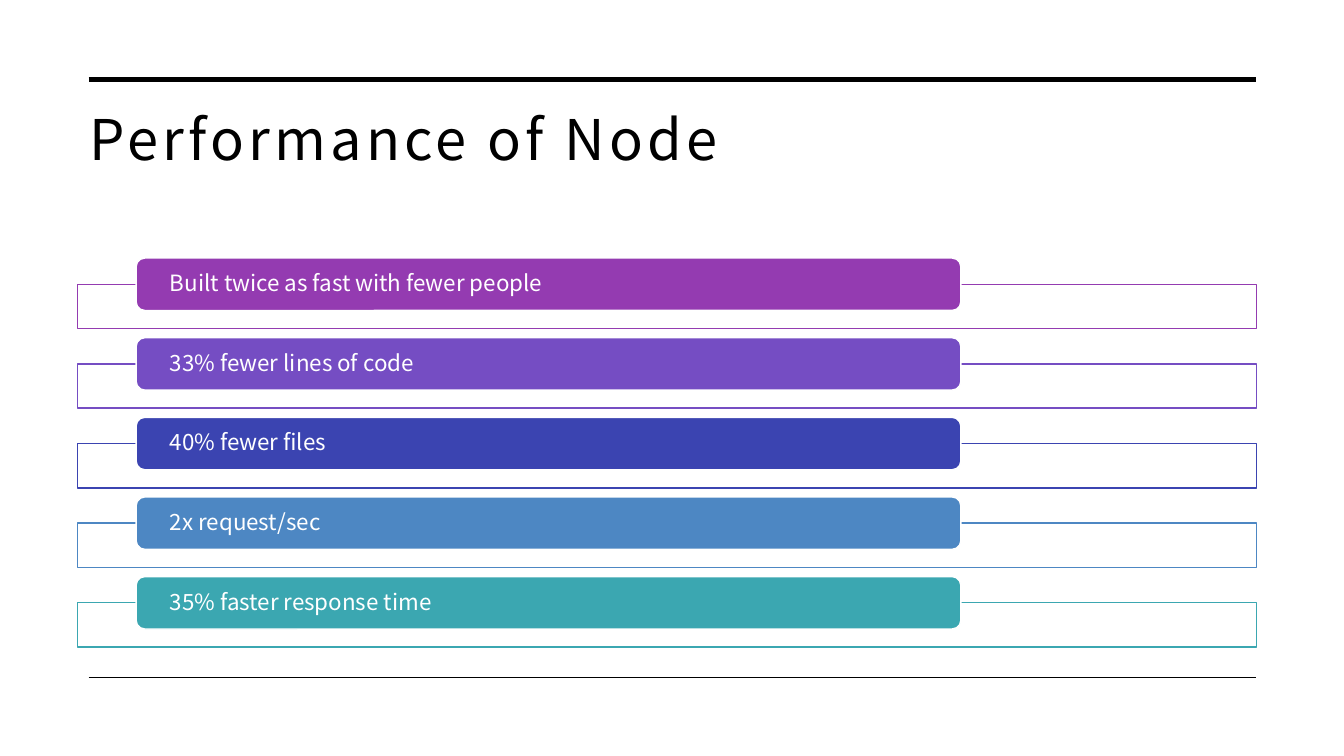
from lxml import etree
from pptx import Presentation
from pptx.dml.color import RGBColor
from pptx.enum.shapes import MSO_CONNECTOR, MSO_SHAPE
from pptx.enum.text import MSO_ANCHOR, MSO_AUTO_SIZE, PP_ALIGN
from pptx.oxml.ns import qn
from pptx.util import Inches, Pt

STRAIGHT = MSO_CONNECTOR.STRAIGHT
RECT = MSO_SHAPE.RECTANGLE
ROUND = MSO_SHAPE.ROUNDED_RECTANGLE
TOP = MSO_ANCHOR.TOP
MIDDLE = MSO_ANCHOR.MIDDLE
FIXED = MSO_AUTO_SIZE.NONE
LEFT = PP_ALIGN.LEFT

FONT = "Noto Sans CJK SC"
BLACK = RGBColor(0x00, 0x00, 0x00)
WHITE = RGBColor(0xFF, 0xFF, 0xFF)
PURPLE = RGBColor(0x94, 0x3B, 0xB1)
VIOLET = RGBColor(0x75, 0x4D, 0xC3)
INDIGO = RGBColor(0x3B, 0x44, 0xB1)
BLUE = RGBColor(0x4D, 0x87, 0xC3)
TEAL = RGBColor(0x3B, 0xA7, 0xB1)

GAINS = [
    ("Built twice as fast with fewer people", PURPLE),
    ("33% fewer lines of code", VIOLET),
    ("40% fewer files", INDIGO),
    ("2x request/sec", BLUE),
    ("35% faster response time", TEAL),
]
FIRST = 2.56
PITCH = 0.79


def write(shape, text, size, color, anchor, insets):
    frame = shape.text_frame
    frame.auto_size = FIXED
    frame.word_wrap = True
    frame.vertical_anchor = anchor
    left, top, right, bottom = map(Inches, insets)
    frame.margin_left, frame.margin_top = left, top
    frame.margin_right, frame.margin_bottom = right, bottom
    para = frame.paragraphs[0]
    para.alignment = LEFT
    para.line_spacing = 0.9
    run = para.add_run()
    run.text = text
    run.font.name = FONT
    run.font.size = Pt(size)
    run.font.color.rgb = color
    return run


def add_title(slide, text):
    title = slide.shapes.title
    title.left, title.top = Inches(0.77), Inches(0.99)
    title.width, title.height = Inches(11.69), Inches(1.26)
    run = write(title, text, 40, BLACK, TOP, (0.12, 0.12, 0.12, 0.1))
    run.font._element.set("spc", "300")


def add_rule(slide, y, weight):
    rule = slide.shapes.add_connector(
        STRAIGHT, Inches(0.88), Inches(y), Inches(12.46), Inches(y))
    rule.line.color.rgb = BLACK
    rule.line.width = Pt(weight)
    etree.SubElement(rule._element.spPr, qn("a:effectLst"))


def add_box(slide, kind, box, fill, line):
    shape = slide.shapes.add_shape(kind, *map(Inches, box))
    shape.shadow.inherit = False
    shape.fill.solid()
    shape.fill.fore_color.rgb = fill
    shape.line.color.rgb = line
    shape.line.width = Pt(1)
    return shape


def fade(shape, percent):
    color = shape._element.spPr.find(qn("a:solidFill"))[0]
    etree.SubElement(color, qn("a:alpha"), val=str(percent * 1000))


def add_gain(slide, y, text, color):
    frame = add_box(slide, RECT, (0.77, y + 0.26, 11.69, 0.44), WHITE, color)
    fade(frame, 90)
    bar = add_box(slide, ROUND, (1.35, y, 8.18, 0.52), color, WHITE)
    write(bar, text, 16, WHITE, MIDDLE, (0.31, 0, 0.31, 0))


def main():
    deck = Presentation()
    deck.slide_width, deck.slide_height = Inches(13.33), Inches(7.5)
    slide = deck.slides.add_slide(deck.slide_layouts[5])
    add_title(slide, "Performance of Node")
    add_rule(slide, 0.79, 3.5)
    add_rule(slide, 6.72, 1)
    for row, (text, color) in enumerate(GAINS):
        add_gain(slide, FIRST + row * PITCH, text, color)
    deck.save("out.pptx")


if __name__ == "__main__":
    main()
